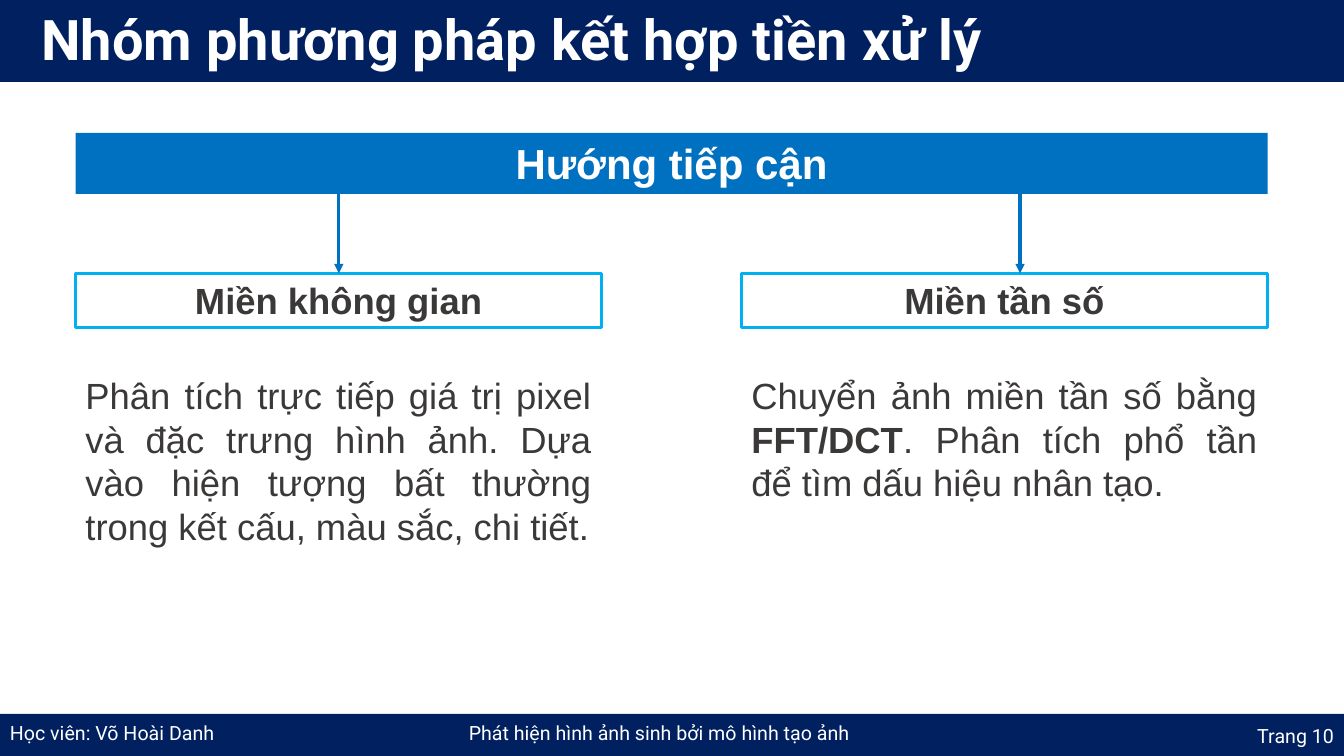
from lxml import etree
from pptx import Presentation
from pptx.dml.color import RGBColor
from pptx.enum.shapes import MSO_CONNECTOR, MSO_SHAPE
from pptx.enum.text import MSO_ANCHOR, MSO_AUTO_SIZE, PP_ALIGN
from pptx.oxml.ns import qn
from pptx.util import Pt

NAVY = RGBColor(0x00, 0x20, 0x60)
BLUE = RGBColor(0x00, 0x70, 0xC0)
SKY = RGBColor(0x00, 0xB0, 0xF0)
GRAY = RGBColor(0x3B, 0x38, 0x38)
WHITE = RGBColor(0xFF, 0xFF, 0xFF)

prs = Presentation()
prs.slide_width, prs.slide_height = Pt(960), Pt(540)
s = prs.slides.add_slide(prs.slide_layouts[6])


def add_rect(x, y, w, h, fill=None, line=None):
    sp = s.shapes.add_shape(MSO_SHAPE.RECTANGLE, Pt(x), Pt(y), Pt(w), Pt(h))
    sp.shadow.inherit = False
    if fill is None:
        sp.fill.background()
    else:
        sp.fill.solid()
        sp.fill.fore_color.rgb = fill
    if line is None:
        sp.line.fill.background()
    else:
        sp.line.color.rgb = line
        sp.line.width = Pt(2.25)
    return sp


def write(sp, runs, size, color, font="Arial", align=PP_ALIGN.LEFT,
          anchor=MSO_ANCHOR.TOP, grow=True):
    """Fill a shape with one paragraph of (text, bold) runs."""
    tf = sp.text_frame
    tf.word_wrap = True
    tf.auto_size = MSO_AUTO_SIZE.SHAPE_TO_FIT_TEXT if grow else MSO_AUTO_SIZE.NONE
    tf.vertical_anchor = anchor
    p = tf.paragraphs[0]
    p.alignment = align
    for text, bold in runs:
        r = p.add_run()
        r.text = text
        r.font.name, r.font.size, r.font.bold = font, Pt(size), bold
        r.font.color.rgb = color
    return p


# Footer
add_rect(0, 510, 960, 30, NAVY)
footers = [
    (0, 504.7, 206, 37.4, "Học viên: Võ Hoài Danh", PP_ALIGN.LEFT, 1),
    (183.6, 504.7, 574.6, 37.4, "Phát hiện hình ảnh sinh bởi mô hình tạo ảnh", PP_ALIGN.CENTER, 1),
    (758.2, 510, 201.8, 27.4, "Trang 10", PP_ALIGN.RIGHT, 1.2),
]
for x, y, w, h, text, align, spacing in footers:
    sp = s.shapes.add_textbox(Pt(x), Pt(y), Pt(w), Pt(h))
    p = write(sp, [(text, False)], 14, WHITE, "Roboto", align, MSO_ANCHOR.MIDDLE, grow=False)
    p.line_spacing = spacing

# Title band
add_rect(0, 0, 960, 58.5, NAVY)
title = s.shapes.add_textbox(0, 0, Pt(960), Pt(55.5))
p = write(title, [("Nhóm phương pháp kết hợp tiền xử lý", True)], 40, WHITE, "Roboto")
p._p.get_or_add_pPr().set("marL", str(Pt(22.5)))

# Approach bar
bar = add_rect(54, 95, 851.5, 43.6, BLUE)
write(bar, [("Hướng tiếp cận", True)], 30, WHITE, align=PP_ALIGN.CENTER)

# Two branches: left edge, arrow position, heading, description
branches = [
    (54, 242, "Miền không gian", 133.2,
     [("Phân tích trực tiếp giá trị pixel và đặc trưng hình ảnh. Dựa vào hiện tượng "
       "bất thường trong kết cấu, màu sắc, chi tiết.", False)]),
    (529.6, 728.6, "Miền tần số", 101.5,
     [("Chuyển ảnh miền tần số bằng ", False), ("FFT/DCT", True),
      (". Phân tích phổ tần để tìm dấu hiệu nhân tạo.", False)]),
]
for x, arrow_x, heading, height, description in branches:
    box = add_rect(x, 195.2, 376, 38.9, line=SKY)
    write(box, [(heading, True)], 26, GRAY, align=PP_ALIGN.CENTER)
    body = s.shapes.add_textbox(Pt(x), Pt(263), Pt(376), Pt(height))
    write(body, description, 26, GRAY, align=PP_ALIGN.JUSTIFY)

    arrow = s.shapes.add_connector(MSO_CONNECTOR.STRAIGHT, Pt(arrow_x), Pt(138.6),
                                   Pt(arrow_x), Pt(195.2))
    if arrow_x == x + 376 / 2:
        arrow.end_connect(box, 0)
    arrow.line.color.rgb = BLUE
    arrow.line.width = Pt(2.25)
    etree.SubElement(arrow.line._get_or_add_ln(), qn("a:tailEnd"), type="triangle")
    etree.SubElement(arrow._element.spPr, qn("a:effectLst"))

prs.save("out.pptx")
